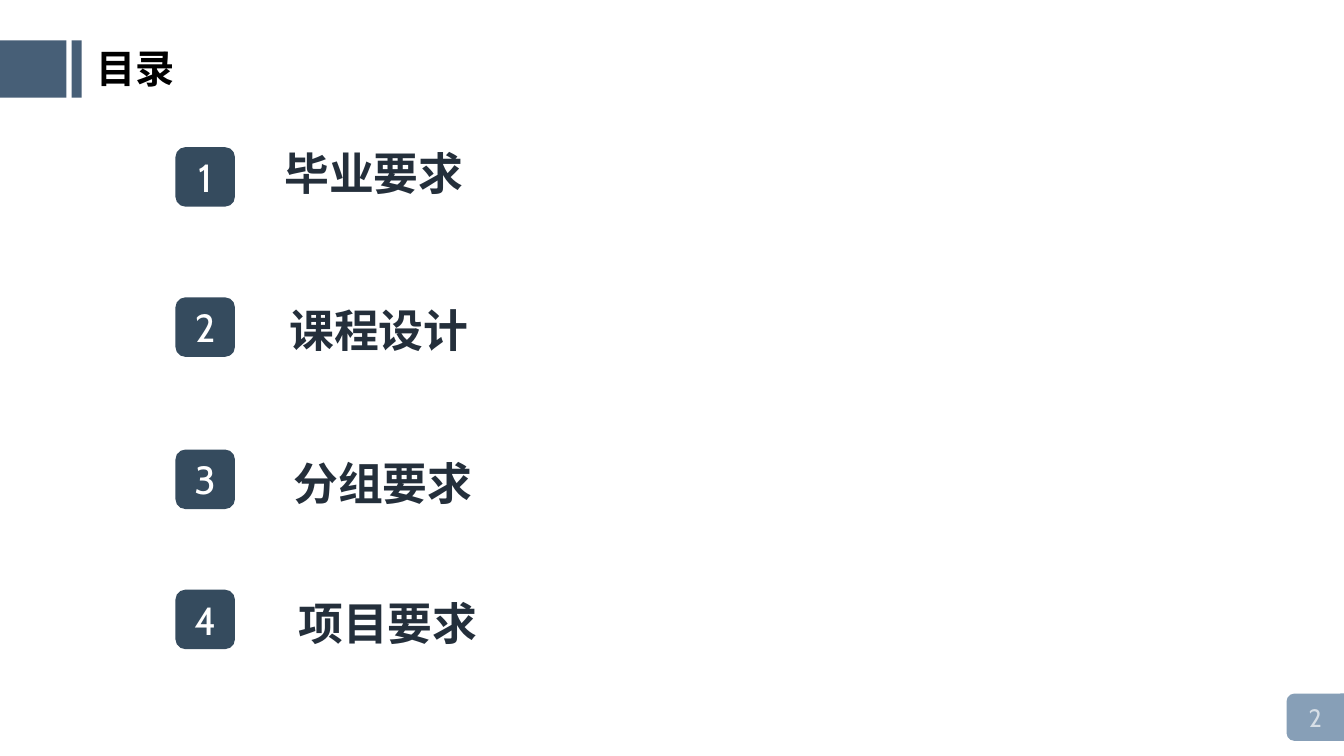
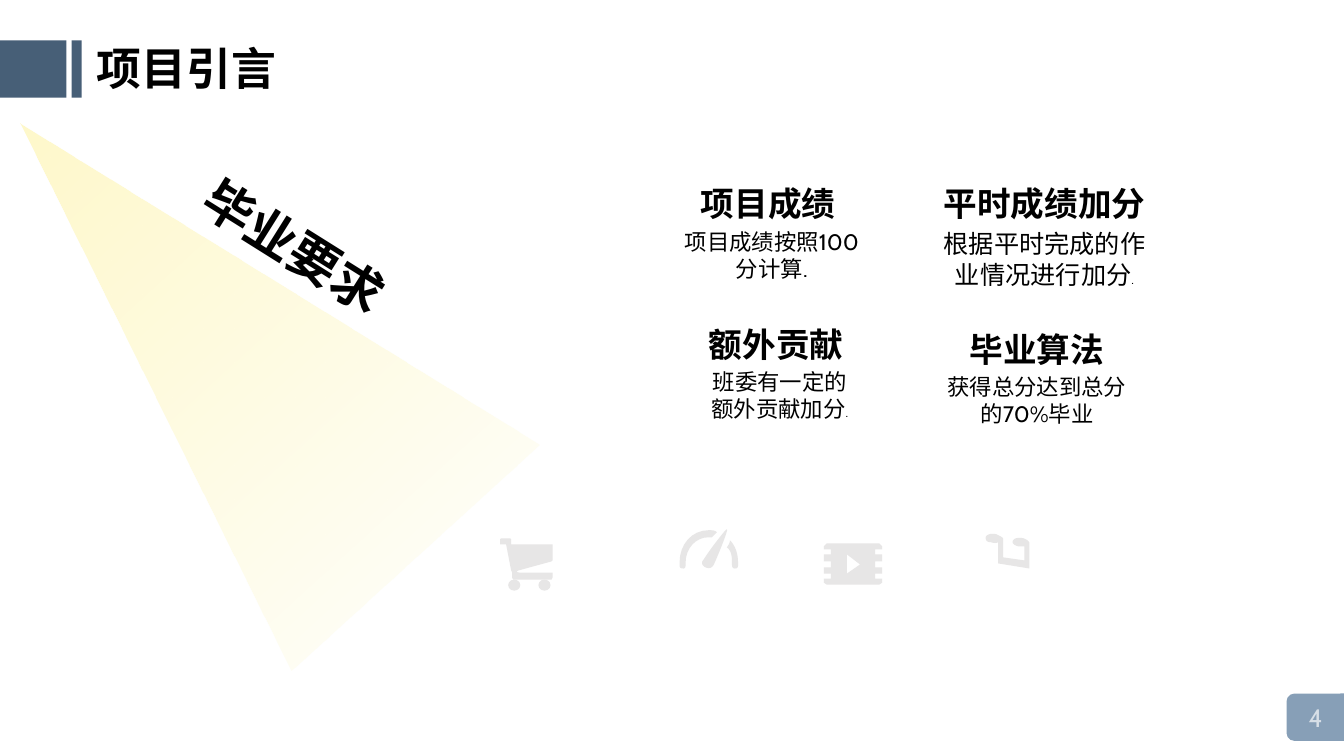
from dataclasses import dataclass

from lxml import etree
from pptx import Presentation
from pptx import util as u
from pptx.dml.color import RGBColor
from pptx.enum import shapes, text
from pptx.oxml.ns import qn

PX = 9144


@dataclass(frozen=True)
class Theme:
    """Colours, typefaces and type sizes of the presentation."""

    band: str = "475F77"
    tab: str = "879FB7"
    page_number: str = "D7DFE7"
    badge: str = "354B5E"
    heading: str = "242F3B"
    icon: str = "E7E6E6"
    light: str = "FFF9CB"
    black: str = "000000"
    white: str = "FFFFFF"
    font: str = "Cabin"
    agenda_font: str = "Noto Sans CJK SC"
    slogan_font: str = "Lato"
    slogan: int = 36
    title: int = 32
    small_title: int = 28
    topic: int = 24
    body: int = 18
    small_body: int = 16
    dot: int = 9


THEME = Theme()


def write(frame, content, *, size, color=THEME.black, font=THEME.font, bold=False,
          align=None, before=None, line_spacing=None, same_paragraph=False):
    """Append formatted text to a frame, in a new paragraph unless told otherwise."""
    paragraph = frame.paragraphs[-1]
    if paragraph.runs and not same_paragraph:
        paragraph = frame.add_paragraph()
    if not same_paragraph:
        paragraph.alignment = align
        paragraph.space_before = None if before is None else u.Pt(before)
        paragraph.line_spacing = line_spacing
    run = paragraph.add_run()
    run.text = content
    run.font.size = u.Pt(size)
    run.font.bold = bold
    run.font.name = font
    run.font.color.rgb = RGBColor.from_string(color)
    latin = run.font._element.find(qn("a:latin"))
    east_asian = etree.Element(qn("a:ea"), typeface=THEME.font)
    latin.addnext(east_asian)


def flatten(contour, steps=8):
    """Turn a contour of points and six-number Bézier curves into plain points."""
    points = [contour[0]]
    for segment in contour[1:]:
        if len(segment) == 2:
            points.append(segment)
            continue
        knots = [points[-1], segment[:2], segment[2:4], segment[4:]]
        for step in range(1, steps + 1):
            t = step / steps
            weights = ((1 - t) ** 3, 3 * t * (1 - t) ** 2, 3 * t * t * (1 - t), t ** 3)
            points.append(tuple(sum(w * knot[axis] for w, knot in zip(weights, knots))
                                for axis in (0, 1)))
    return [(round(x * PX), round(y * PX)) for x, y in points]


def film_contours():
    """Return the notched film strip and its play mark."""
    right = [(872, 539), (875, 542)]
    for top, bottom in ((545, 550), (557, 563), (569, 574)):
        right += [(875, top), (868, top), (868, bottom), (875, bottom)]
    right += [(875, 578), (872, 580)]
    left = [(817 + 875 - x, y) for x, y in reversed(right)]
    return [right + left, [(840, 569), (840, 550), (853, 560)]]


class Deck:
    """Holds the style and the current slide, and draws each kind of element."""

    def __init__(self, theme):
        """Start an empty widescreen presentation."""
        self.theme = theme
        self.presentation = Presentation()
        self.presentation.slide_width = u.Emu(1333 * PX)
        self.presentation.slide_height = u.Emu(750 * PX)
        self.slide = None

    def new_slide(self, title, number, title_top, title_width, title_height, title_size):
        """Add a slide with its title band and page number."""
        theme = self.theme
        self.slide = self.presentation.slides.add_slide(self.presentation.slide_layouts[6])
        self.shape(shapes.MSO_SHAPE.ROUND_2_SAME_RECTANGLE, (1282, 682, 47, 59),
                   theme.tab, rotation=270)
        for left, width in ((0, 66), (71, 10)):
            self.shape(shapes.MSO_SHAPE.RECTANGLE, (left, 40, width, 57), theme.band)
        write(self.text_box((1288, 692, 33, 40), wrap=False), number,
              size=theme.body, color=theme.page_number)
        write(self.text_box((86, title_top, title_width, title_height), wrap=False), title,
              size=title_size, bold=True)

    def finish(self, shape, color):
        """Give a shape a plain fill without line or shadow."""
        shape.shadow.inherit = False
        shape.line.fill.background()
        shape.fill.solid()
        shape.fill.fore_color.rgb = RGBColor.from_string(color)
        return shape

    def shape(self, kind, box, color, rotation=0):
        """Add a preset shape."""
        shape = self.slide.shapes.add_shape(kind, *(value * PX for value in box))
        shape.rotation = rotation
        return self.finish(shape, color)

    def text_box(self, box, wrap=True, inset=None, rotation=0, middle=False):
        """Add a text box and return its frame."""
        shape = self.slide.shapes.add_textbox(*(value * PX for value in box))
        shape.rotation = rotation
        frame = shape.text_frame
        frame.word_wrap = wrap
        if not wrap:
            frame.auto_size = text.MSO_AUTO_SIZE.SHAPE_TO_FIT_TEXT
        if inset is not None:
            frame.margin_left = frame.margin_right = inset * PX
            frame.margin_top = frame.margin_bottom = inset * PX
        if middle:
            frame.vertical_anchor = text.MSO_ANCHOR.MIDDLE
        return frame

    def badge(self, number, top):
        """Add a numbered rounded square."""
        shape = self.shape(shapes.MSO_SHAPE.ROUNDED_RECTANGLE, (174, top, 59, 59),
                           self.theme.badge)
        shape.text_frame.vertical_anchor = text.MSO_ANCHOR.MIDDLE
        write(shape.text_frame, str(number), size=self.theme.small_title,
              color=self.theme.white, align=text.PP_ALIGN.CENTER)

    def topic(self, box, heading, body, size, dot):
        """Add a bold heading with a centred description below."""
        theme = self.theme
        frame = self.text_box(box)
        for content, points, bold in ((heading, theme.topic, True), (body, size, False)):
            write(frame, content, size=points, bold=bold,
                  align=text.PP_ALIGN.CENTER, before=round(points * 0.2, 1))
        if dot:
            write(frame, ".", size=theme.dot, same_paragraph=True)

    def light_beam(self, box, rotation):
        """Add a triangle of light that fades towards its base."""
        beam = self.shape(shapes.MSO_SHAPE.TRAPEZOID, box, self.theme.light, rotation)
        beam.adjustments[0] = 0.5
        beam.fill.gradient()
        beam.fill.gradient_angle = 90
        for stop in beam.fill.gradient_stops:
            stop.color.rgb = RGBColor.from_string(self.theme.light)
        first_color = next(beam._element.spPr.iter(qn("a:srgbClr")))
        etree.SubElement(first_color, qn("a:alpha"), val="0")

    def icon(self, contours):
        """Add a grey outline made of one or more contours."""
        first, *others = [flatten(contour) for contour in contours]
        builder = self.slide.shapes.build_freeform(*first[0], scale=1.0)
        builder.add_line_segments(first[1:], close=True)
        for points in others:
            builder.move_to(*points[0])
            builder.add_line_segments(points[1:], close=True)
        self.finish(builder.convert_to_shape(), self.theme.icon)


GAUGE = [
    [(698, 555), (695, 558, 696, 561, 700, 563), (703, 564, 706, 564, 708, 560),
     (710, 556, 723, 525, 721, 525), (720, 524, 700, 551, 698, 555)],
    [(703, 533), (706, 533), (708, 531, 710, 529, 711, 528), (709, 526, 706, 526, 703, 526),
     (686, 526, 674, 540, 674, 558), (674, 561), (674, 563, 675, 564, 678, 564),
     (679, 564, 680, 563, 680, 560), (680, 558), (680, 544, 690, 533, 703, 533)],
    [(724, 536), (724, 538, 723, 540, 721, 543), (725, 546, 726, 551, 726, 558), (726, 560),
     (726, 563, 727, 564, 729, 564), (731, 564, 732, 563, 732, 561), (732, 558),
     (732, 549, 729, 541, 724, 536)],
]
HOOK = [
    [(990, 559), (990, 538), (988, 539, 986, 539, 983, 538), (978, 538, 977, 535, 978, 532),
     (980, 530, 983, 529, 988, 530), (992, 532, 995, 533, 995, 535), (995, 553), (1016, 556),
     (1016, 542), (1013, 542, 1012, 542, 1010, 542), (1005, 541, 1003, 538, 1005, 536),
     (1006, 534, 1010, 533, 1015, 534), (1018, 535, 1021, 537, 1021, 539), (1021, 564)],
]
CART = [
    [(514, 566), (547, 557), (548, 556), (548, 540), (507, 540), (507, 535), (506, 534),
     (497, 534), (496, 535), (496, 540), (502, 540), (507, 566), (508, 568), (508, 573),
     (509, 575), (547, 575), (548, 573), (548, 568), (516, 568), (512, 568, 512, 567, 514, 566)],
]


def add_agenda(deck):
    """Build the table of contents."""
    theme = deck.theme
    deck.new_slide("目录", "2", 39, 101, 57, theme.small_title)
    entries = (
        ("毕业要求", 146, (277, 140, 877, 70), True, 5, None),
        ("课程设计", 295, (277, 295, 198, 64), False, None, None),
        ("分组要求", 446, (286, 440, 650, 48), True, 5, 1.14),
        ("项目要求", 585, (286, 579, 219, 71), True, None, 1.14),
    )
    for number, (entry, top, box, wrap, inset, line_spacing) in enumerate(entries, 1):
        deck.badge(number, top)
        write(deck.text_box(box, wrap, inset), entry, size=theme.title, color=theme.heading,
              font=theme.agenda_font, bold=True, line_spacing=line_spacing,
              before=12 if line_spacing else None)


def add_introduction(deck):
    """Build the overview of the graduation rules."""
    theme = deck.theme
    deck.new_slide("项目引言", "4", 36, 200, 64, theme.title)
    slogan = deck.text_box((146, 182, 292, 124), rotation=32.1, middle=True)
    write(slogan, "毕业要求", size=theme.slogan, font=theme.slogan_font, bold=True,
          align=text.PP_ALIGN.CENTER)
    topics = (
        ((667, 177, 197, 80), "项目成绩 ", "项目成绩按照100分计算.", theme.small_body, False),
        ((921, 177, 230, 60), "平时成绩加分", "根据平时完成的作业情况进行加分", theme.body, True),
        ((690, 316, 167, 71), "额外贡献 ", "班委有一定的额外贡献加分", theme.small_body, True),
        ((921, 321, 215, 60), "毕业算法", "获得总分达到总分的70%毕业", theme.small_body, False),
    )
    for topic in topics:
        deck.topic(*topic)
    deck.light_beam((50, 47, 333, 582), 317.7)
    for contours in (film_contours(), HOOK, GAUGE, CART):
        deck.icon(contours)
    for left in (504, 534):
        deck.shape(shapes.MSO_SHAPE.OVAL, (left, 575, 12, 11), theme.icon)


def main():
    """Build and save the presentation."""
    deck = Deck(THEME)
    add_agenda(deck)
    add_introduction(deck)
    deck.presentation.save("out.pptx")


if __name__ == "__main__":
    main()
